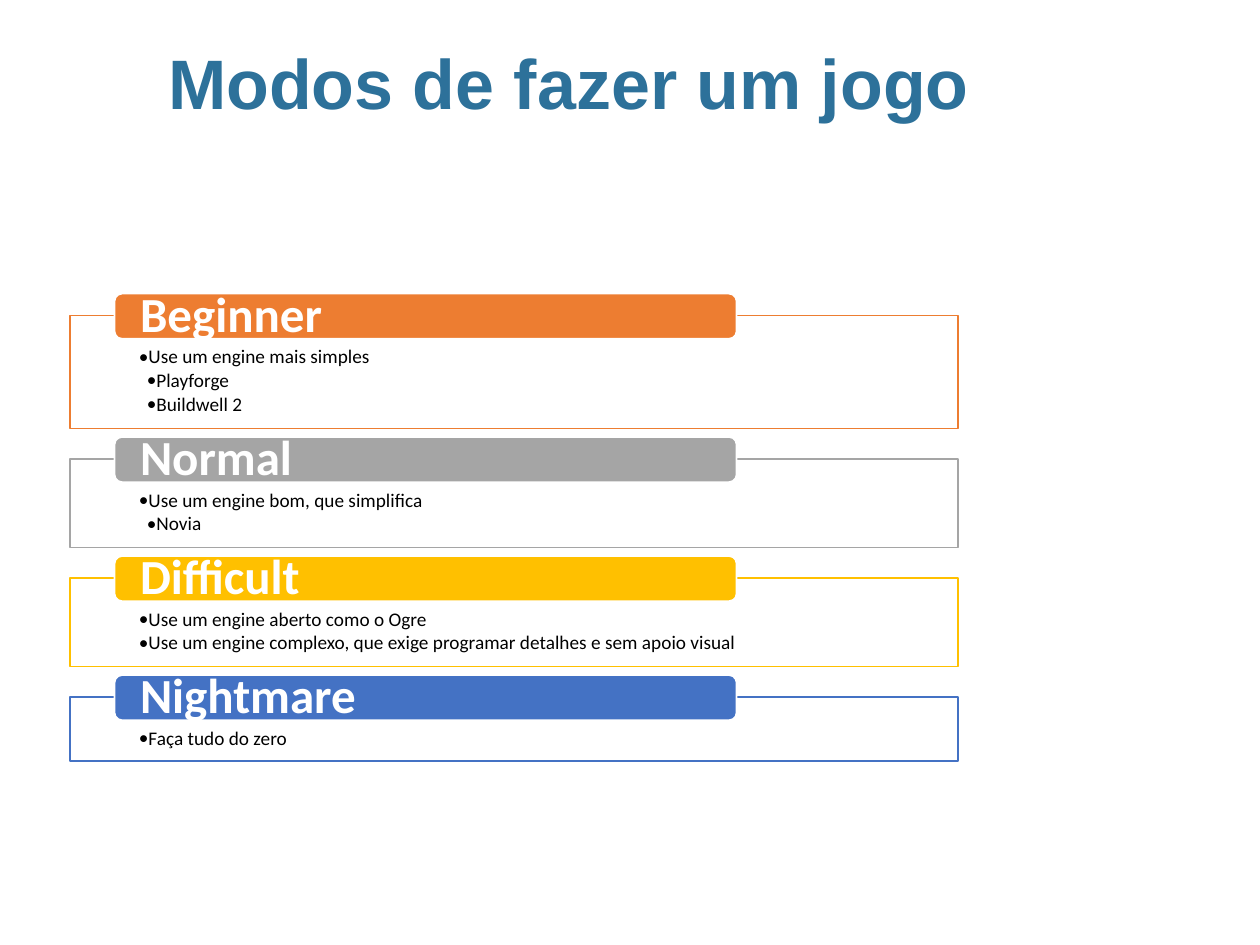
from lxml import etree
from pptx import Presentation
from pptx import util as u
from pptx.dml.color import RGBColor
from pptx.enum import shapes, text
from pptx.oxml.ns import qn

TITLE = "Modos de fazer um jogo"
MODES = [
    ("Beginner", "ED7D31", [(1, "Use um engine mais simples"), (2, "Playforge"), (2, "Buildwell 2")]),
    ("Normal", "A5A5A5", [(1, "Use um engine bom, que simplifica"), (2, "Novia")]),
    ("Difficult", "FFC000", [
        (1, "Use um engine aberto como o Ogre"),
        (1, "Use um engine complexo, que exige programar detalhes e sem apoio visual"),
    ]),
    ("Nightmare", "4472C4", [(1, "Faça tudo do zero")]),
]
BOX_LEFT, BOX_WIDTH, FIRST_TOP = 1.41, 17.91, 6.36
BOX_PADDING, LINE_HEIGHT, BOX_GAP = 0.81, 0.49, 0.61
TAB_LEFT, TAB_WIDTH, TAB_HEIGHT, TAB_RISE = 2.31, 12.54, 0.91, 0.44
INDENT = 0.16


def color(value):
    return RGBColor.from_string(value)


def add_block(slide, kind, place, fill, line, margins, anchor):
    shape = slide.shapes.add_shape(kind, *map(u.Cm, place))
    shape.shadow.inherit = False
    shape.fill.solid()
    shape.fill.fore_color.rgb = color(fill)
    shape.line.color.rgb = color(line)
    shape.line.width = u.Pt(1)
    frame = shape.text_frame
    frame.word_wrap = True
    frame.vertical_anchor = anchor
    frame.margin_left, frame.margin_top, frame.margin_right, frame.margin_bottom = map(u.Cm, margins)
    return shape


def format_paragraph(paragraph, font, size, fill, bold=False):
    paragraph.alignment = text.PP_ALIGN.LEFT
    paragraph.line_spacing = 0.9
    for run in paragraph.runs:
        run.font.name = font
        run.font.size = u.Pt(size)
        run.font.bold = bold
        run.font.color.rgb = color(fill)


def add_bullet(paragraph, level):
    paragraph.level = level
    paragraph.space_after = u.Pt(1.65)
    properties = paragraph._p.get_or_add_pPr()
    properties.set("marL", str(u.Cm(INDENT * level)))
    properties.set("indent", str(-u.Cm(INDENT)))
    etree.SubElement(properties, qn("a:buFont")).set("typeface", "Calibri")
    etree.SubElement(properties, qn("a:buChar")).set("char", "•")


def add_mode(slide, name, accent, items, top, height):
    box = add_block(slide, shapes.MSO_SHAPE.RECTANGLE, (BOX_LEFT, top, BOX_WIDTH, height),
                    "FFFFFF", accent, (1.39, 0.64, 1.39, 0.2), text.MSO_ANCHOR.TOP)
    fill_color = box.fill._xPr.find(qn("a:solidFill"))[0]
    etree.SubElement(fill_color, qn("a:alpha")).set("val", "90000")
    box.text_frame.text = "\n".join(item for _, item in items)
    for paragraph, (level, _) in zip(box.text_frame.paragraphs, items):
        format_paragraph(paragraph, "Calibri", 11, "000000")
        add_bullet(paragraph, level)

    tab = add_block(slide, shapes.MSO_SHAPE.ROUNDED_RECTANGLE,
                    (TAB_LEFT, top - TAB_RISE, TAB_WIDTH, TAB_HEIGHT),
                    accent, "FFFFFF", (0.47, 0.05, 0.47, 0.05), text.MSO_ANCHOR.MIDDLE)
    tab.text_frame.text = name
    format_paragraph(tab.text_frame.paragraphs[0], "Calibri", 28, "FFFFFF", True)


def main():
    presentation = Presentation()
    presentation.slide_width, presentation.slide_height = u.Cm(25.4), u.Cm(19.05)
    slide = presentation.slides.add_slide(presentation.slide_layouts[5])

    title = slide.shapes.title
    title.left, title.top, title.width, title.height = map(u.Cm, (3.14, 0.2, 21.92, 3.1))
    title.text_frame.text = TITLE
    title.text_frame.vertical_anchor = text.MSO_ANCHOR.MIDDLE
    format_paragraph(title.text_frame.paragraphs[0], "Arial", 40, "2D719A", True)

    top = FIRST_TOP
    for name, accent, items in MODES:
        height = BOX_PADDING + LINE_HEIGHT * len(items)
        add_mode(slide, name, accent, items, top, height)
        top += height + BOX_GAP

    presentation.save("out.pptx")


if __name__ == "__main__":
    main()
